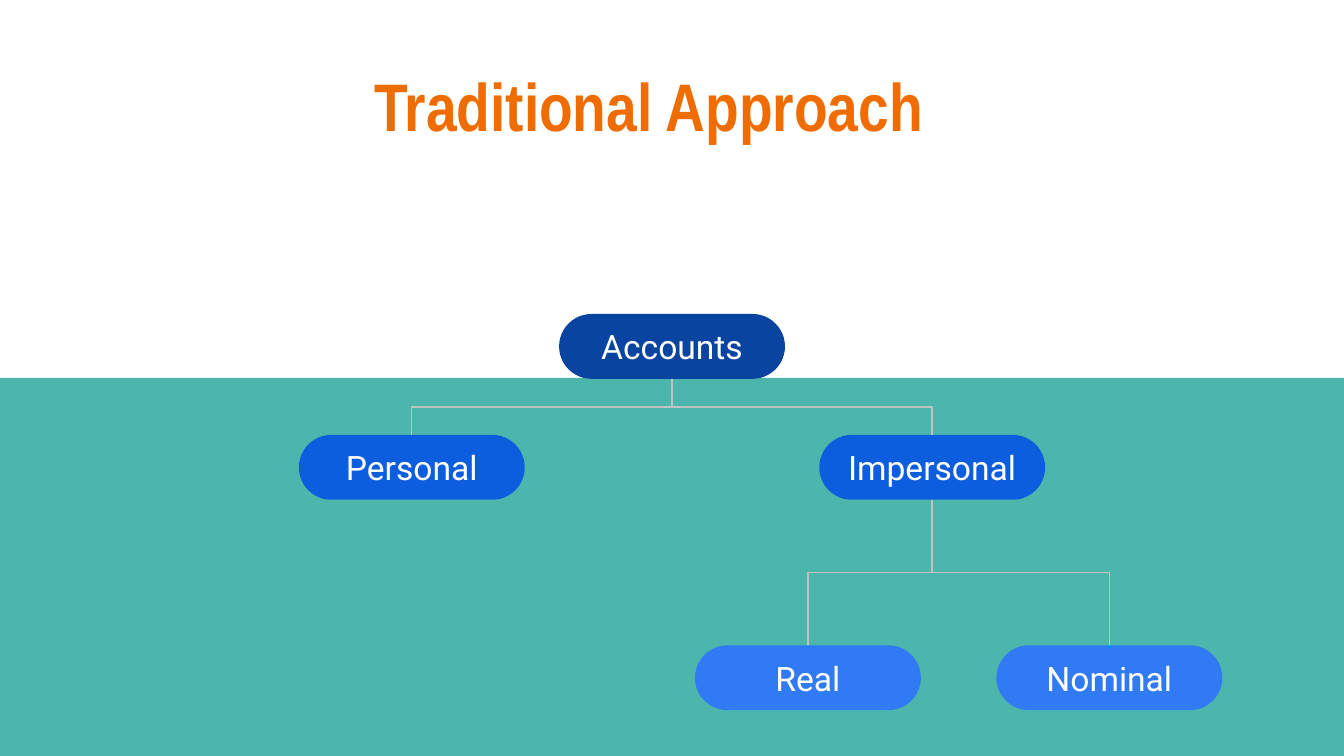
from dataclasses import dataclass

import lxml.etree
import pptx
import pptx.dml.color
import pptx.enum.shapes
import pptx.enum.text
import pptx.oxml.ns
import pptx.util
from pptx.util import Pt


@dataclass(frozen=True)
class Theme:
    band: str = "4DB6AC"
    title: str = "EF6C00"
    label: str = "FFFFFF"
    branch: str = "C2C2C2"
    levels: tuple[str, ...] = ("0944A1", "0D5DDF", "307BF3")
    title_font: str = "Arial Narrow"
    label_font: str = "Roboto"
    title_size: float = 36
    label_size: float = 18
    branch_width: float = 0.75


@dataclass(frozen=True)
class Account:
    name: str
    level: int
    center: float
    parent: str | None = None


THEME = Theme()
SLIDE_WIDTH, SLIDE_HEIGHT = 720, 405
PILL_WIDTH, PILL_HEIGHT = 121, 34.75
LEVEL_TOPS = (168.25, 233, 345.75)
ACCOUNTS = (
    Account("Accounts", 0, 360),
    Account("Impersonal", 1, 499.4, "Accounts"),
    Account("Personal", 1, 220.6, "Accounts"),
    Account("Real", 2, 432.8, "Impersonal"),
    Account("Nominal", 2, 594.3, "Impersonal"),
)


def rgb(color: str) -> pptx.dml.color.RGBColor:
    return pptx.dml.color.RGBColor.from_string(color)


def write_text(shape, text: str, *, font: str, size: float, color: str, bold: bool = False) -> None:
    frame = shape.text_frame
    frame.word_wrap = True
    frame.vertical_anchor = pptx.enum.text.MSO_ANCHOR.MIDDLE
    frame.margin_left = frame.margin_right = Pt(7.2)
    frame.margin_top = frame.margin_bottom = Pt(7.2)
    paragraph = frame.paragraphs[0]
    paragraph.alignment = pptx.enum.text.PP_ALIGN.CENTER
    run = paragraph.add_run()
    run.text = text
    run.font.name = font
    run.font.size = Pt(size)
    run.font.bold = bold
    run.font.color.rgb = rgb(color)


def add_filled(slide, preset, left: float, top: float, width: float, height: float, color: str):
    shape = slide.shapes.add_shape(preset, Pt(left), Pt(top), Pt(width), Pt(height))
    shape.shadow.inherit = False
    shape.fill.solid()
    shape.fill.fore_color.rgb = rgb(color)
    shape.line.fill.background()
    return shape


def add_account(slide, account: Account):
    pill = add_filled(
        slide, pptx.enum.shapes.MSO_SHAPE.ROUNDED_RECTANGLE,
        account.center - PILL_WIDTH / 2, LEVEL_TOPS[account.level],
        PILL_WIDTH, PILL_HEIGHT, THEME.levels[account.level],
    )
    pill.adjustments[0] = 0.5
    write_text(pill, account.name, font=THEME.label_font, size=THEME.label_size, color=THEME.label)
    return pill


def add_branch(slide, parent: Account, child: Account, pills: dict) -> None:
    start_y = LEVEL_TOPS[parent.level] + PILL_HEIGHT
    end_y = LEVEL_TOPS[child.level]
    branch = slide.shapes.add_connector(
        pptx.enum.shapes.MSO_CONNECTOR.ELBOW,
        Pt(parent.center), Pt(start_y), Pt(child.center), Pt(end_y),
    )
    branch.begin_connect(pills[parent.name], 2)
    branch.end_connect(pills[child.name], 0)

    drop, spread = end_y - start_y, abs(child.center - parent.center)
    branch.left = Pt((parent.center + child.center - drop) / 2)
    branch.top = Pt((start_y + end_y - spread) / 2)
    branch.width, branch.height = Pt(drop), Pt(spread)
    goes_right = child.center > parent.center
    properties = branch._element.spPr
    transform = properties.find(pptx.oxml.ns.qn("a:xfrm"))
    transform.set("rot", "16200000" if goes_right else "5400000")
    transform.set("flipH", "1" if goes_right else "0")
    transform.set("flipV", "0")

    branch.line.color.rgb = rgb(THEME.branch)
    branch.line.width = Pt(THEME.branch_width)
    lxml.etree.SubElement(properties, pptx.oxml.ns.qn("a:effectLst"))


def main() -> None:
    presentation = pptx.Presentation()
    presentation.slide_width = Pt(SLIDE_WIDTH)
    presentation.slide_height = Pt(SLIDE_HEIGHT)
    slide = presentation.slides.add_slide(presentation.slide_layouts[6])

    half = SLIDE_HEIGHT / 2
    add_filled(slide, pptx.enum.shapes.MSO_SHAPE.RECTANGLE, 0, half, SLIDE_WIDTH, half, THEME.band)
    title = slide.shapes.add_textbox(Pt(14.4), Pt(18.7), Pt(674.6), Pt(74.2))
    write_text(title, "Traditional Approach ", font=THEME.title_font,
               size=THEME.title_size, color=THEME.title, bold=True)

    pills = {account.name: add_account(slide, account) for account in ACCOUNTS}
    by_name = {account.name: account for account in ACCOUNTS}
    for account in ACCOUNTS:
        if account.parent:
            add_branch(slide, by_name[account.parent], account, pills)

    presentation.save("out.pptx")


if __name__ == "__main__":
    main()
